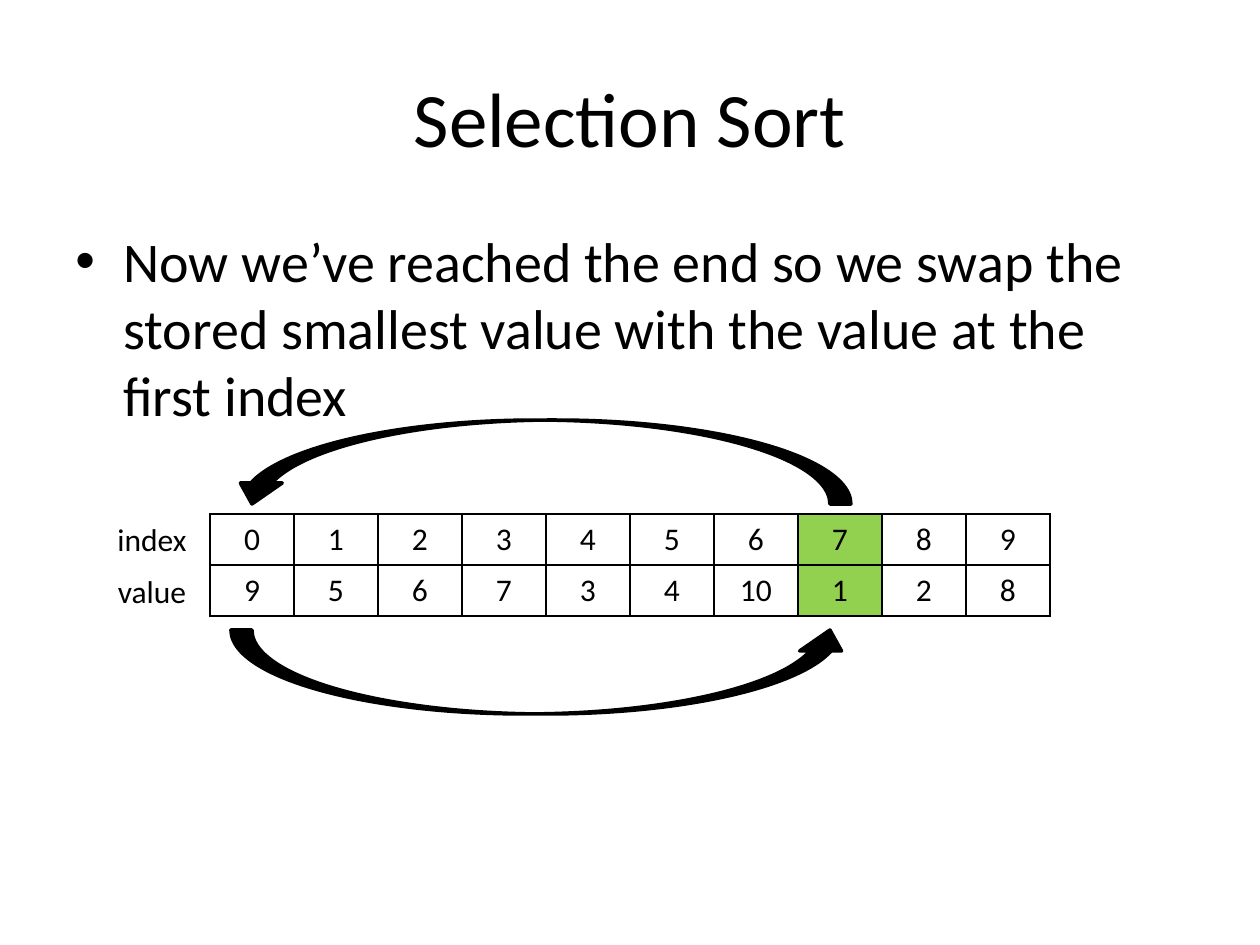
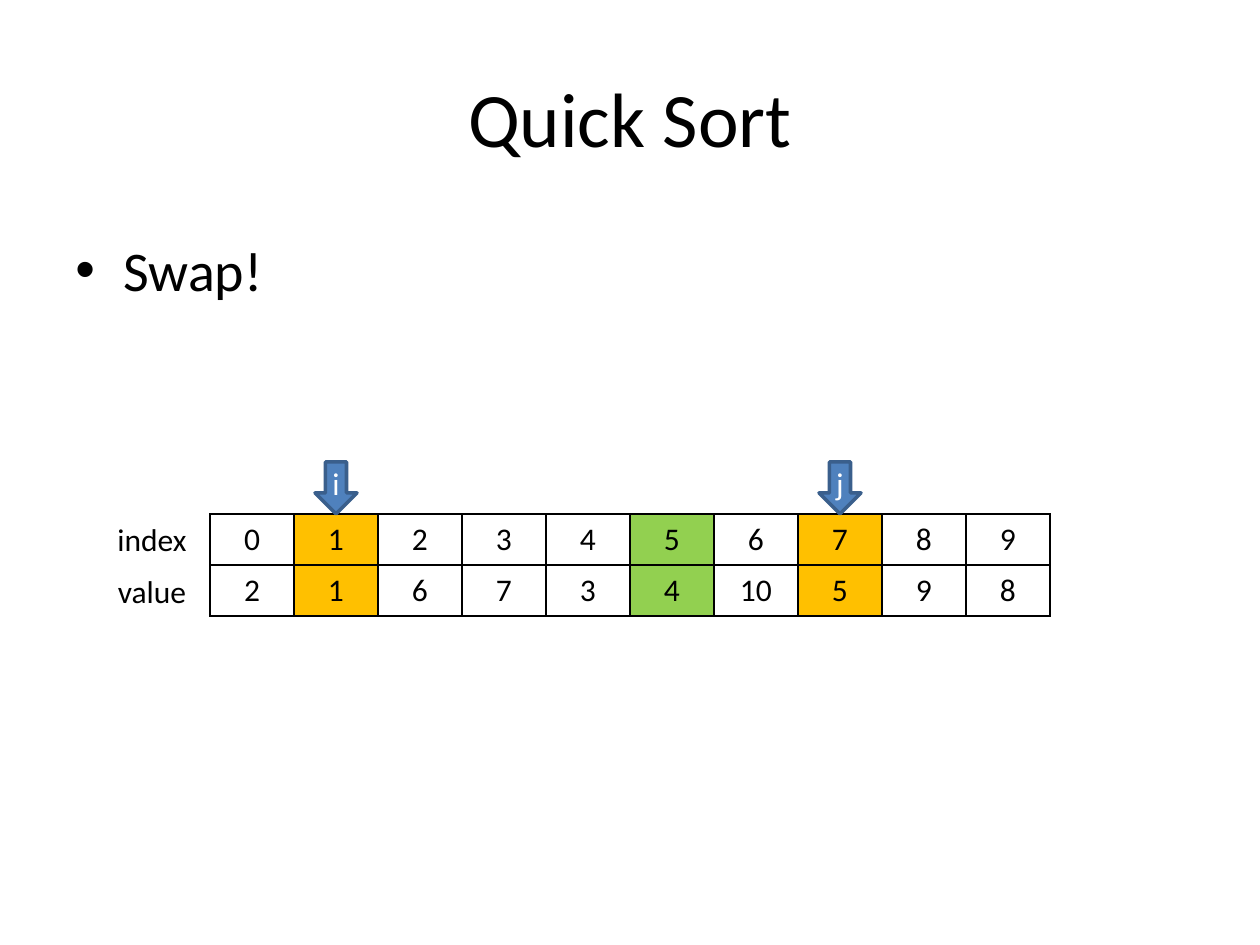
from dataclasses import dataclass

from lxml.etree import SubElement
from pptx import Presentation
from pptx.dml.color import RGBColor
from pptx.enum.shapes import MSO_SHAPE as Shape
from pptx.enum.text import MSO_ANCHOR as Anchor, PP_ALIGN as Align
from pptx.oxml.ns import qn
from pptx.util import Emu, Pt

PX = 914400 // 126  # EMU per pixel


@dataclass(frozen=True)
class Theme:
    font: str = "Calibri"
    title: int = 44
    body: int = 32
    label: int = 18
    ink: str = "000000"
    paper: str = "FFFFFF"
    green: str = "92D050"
    amber: str = "FFC000"
    blue: str = "4F81BD"
    blue_edge: str = "3A5F8C"
    border: float = 1
    outline: float = 2


T = Theme()


@dataclass(frozen=True)
class Box:
    x: int
    y: int
    w: int
    h: int

    def emu(self) -> tuple:
        return tuple(Emu(v * PX) for v in (self.x, self.y, self.w, self.h))


@dataclass(frozen=True)
class Arrow:
    kind: Shape
    box: Box
    fill: str
    edge: str
    text: str = ""
    flip: bool = False


@dataclass(frozen=True)
class Page:
    title: str
    bullet: str
    bullet_top: int
    values: tuple
    marks: dict  # column -> highlight colour
    arrows: tuple


# Shared grid of the array table
COLS, CELL_W, CELL_H = 10, 84, 51
TABLE = Box(210, 514, COLS * CELL_W, 2 * CELL_H)
TITLE = Box(63, 38, 1134, 157)


def rgb(value: str) -> RGBColor:
    return RGBColor.from_string(value)


def write(tf, text: str, size: int, color: str = T.ink, align=Align.CENTER):
    """Put one styled paragraph into a text frame."""
    p = tf.paragraphs[0]
    p.alignment = align
    r = p.add_run()
    r.text = text
    for name, value in {"name": T.font, "size": Pt(size)}.items():
        setattr(r.font, name, value)
    r.font.color.rgb = rgb(color)
    return p


def add_text(s, box: Box, text: str, size: int, anchor=Anchor.TOP, align=Align.CENTER):
    tf = s.shapes.add_textbox(*box.emu()).text_frame
    tf.word_wrap = True
    tf.vertical_anchor = anchor
    return write(tf, text, size, align=align)


def add_bullet(s, text: str, top: int) -> None:
    p = add_text(s, Box(63, top, 1134, 624), text, T.body, align=Align.LEFT)
    p.space_before = Pt(T.body * 0.2)
    pPr = p._p.get_or_add_pPr()
    indent = 48 * PX
    pPr.set("marL", str(indent))
    pPr.set("indent", str(-indent))
    SubElement(pPr, qn("a:buFont"), typeface="Arial")
    SubElement(pPr, qn("a:buChar"), char="•")


def add_borders(cell) -> None:
    tcPr = cell._tc.get_or_add_tcPr()
    for side in ("lnL", "lnR", "lnT", "lnB"):
        ln = SubElement(tcPr, qn(f"a:{side}"), w=str(Pt(T.border)))
        fill = SubElement(ln, qn("a:solidFill"))
        SubElement(fill, qn("a:srgbClr"), val=T.ink)


def add_array(s, values: tuple, marks: dict) -> None:
    """Index row above value row, with a label in front of each."""
    table = s.shapes.add_table(2, COLS, *TABLE.emu()).table
    table.first_row = table.horz_banding = False
    for col in table.columns:
        col.width = Emu(CELL_W * PX)
    for i, row in enumerate((range(COLS), values)):
        table.rows[i].height = Emu(CELL_H * PX)
        for j, value in enumerate(row):
            cell = table.cell(i, j)
            add_borders(cell)
            cell.fill.solid()
            cell.fill.fore_color.rgb = rgb(marks.get(j, T.paper))
            write(cell.text_frame, str(value), T.label)
    for i, label in enumerate(("index", "value")):
        add_text(s, Box(94, TABLE.y + i * 52, 116, 52), label, T.label)


def add_arrow(s, arrow: Arrow) -> None:
    sp = s.shapes.add_shape(arrow.kind, *arrow.box.emu())
    sp.shadow.inherit = False
    sp.fill.solid()
    sp.fill.fore_color.rgb = rgb(arrow.fill)
    sp.line.color.rgb = rgb(arrow.edge)
    sp.line.width = Pt(T.outline)
    if arrow.flip:
        sp._element.spPr.xfrm.set("flipH", "1")
    if arrow.text:
        tf = sp.text_frame
        layout = dict.fromkeys(
            ("margin_left", "margin_right", "margin_top", "margin_bottom"), 0)
        layout |= {"word_wrap": False, "vertical_anchor": Anchor.MIDDLE}
        for name, value in layout.items():
            setattr(tf, name, value)
        write(tf, arrow.text, T.label, T.paper)


def swap_arrow(kind: Shape, top: int, flip: bool = False) -> Arrow:
    return Arrow(kind, Box(231, top, 620, 84), T.ink, T.ink, flip=flip)


def pointer(name: str, col: int) -> Arrow:
    """Small arrow standing centred on a table column."""
    w, h = 42, 52
    x = TABLE.x + col * CELL_W + (CELL_W - w) // 2
    return Arrow(Shape.DOWN_ARROW, Box(x, TABLE.y - h, w, h), T.blue, T.blue_edge, name)


PAGES = (
    Page("Selection Sort",
         "Now we’ve reached the end so we swap the stored smallest value "
         "with the value at the first index",
         220, (9, 5, 6, 7, 3, 4, 10, 1, 2, 8), {7: T.green},
         (swap_arrow(Shape.CURVED_UP_ARROW, 630),
          swap_arrow(Shape.CURVED_DOWN_ARROW, 420, flip=True))),
    Page("Quick Sort", "Swap!",
         229, (2, 1, 6, 7, 3, 4, 10, 5, 9, 8),
         {1: T.amber, 5: T.green, 7: T.amber},
         (pointer("i", 1), pointer("j", 7))),
)


def build() -> None:
    prs = Presentation()
    prs.slide_width, prs.slide_height = Emu(1260 * PX), Emu(945 * PX)
    for page in PAGES:
        s = prs.slides.add_slide(prs.slide_layouts[6])
        add_text(s, TITLE, page.title, T.title, Anchor.MIDDLE)
        add_bullet(s, page.bullet, page.bullet_top)
        add_array(s, page.values, page.marks)
        for arrow in page.arrows:
            add_arrow(s, arrow)
    prs.save("out.pptx")


build()
